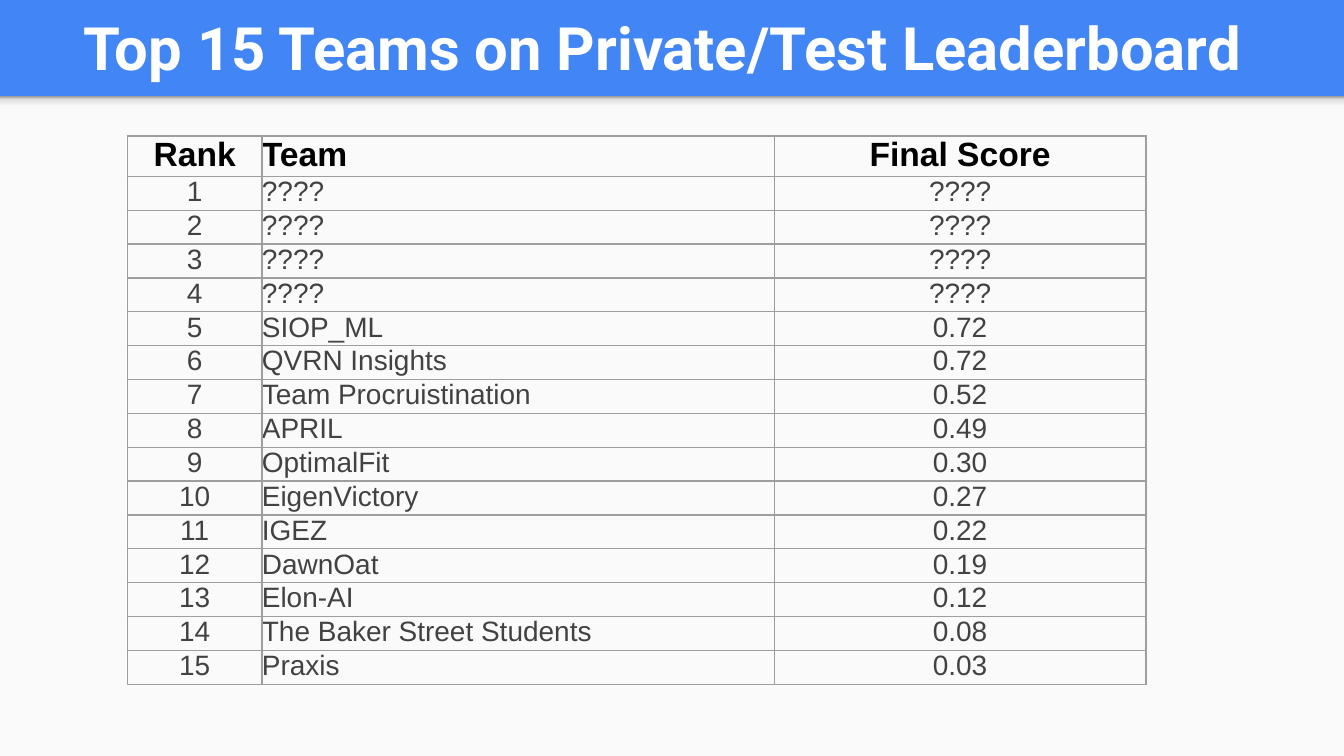
from lxml import etree
from pptx import Presentation
from pptx.dml.color import RGBColor
from pptx.enum import shapes, text
from pptx.oxml import parse_xml
from pptx.oxml.ns import nsdecls, qn
from pptx.util import Cm, Pt

HEAD = ("Rank", "Team", "Final Score")
TEAMS = [("????", "????")] * 4 + [
    ("SIOP_ML", "0.72"),
    ("QVRN Insights", "0.72"),
    ("Team Procruistination", "0.52"),
    ("APRIL", "0.49"),
    ("OptimalFit", "0.30"),
    ("EigenVictory", "0.27"),
    ("IGEZ", "0.22"),
    ("DawnOat", "0.19"),
    ("Elon-AI", "0.12"),
    ("The Baker Street Students", "0.08"),
    ("Praxis", "0.03"),
]
WIDTHS = (2.54, 9.68, 7.03)
WIDE, HIGH, BAR = 25.4, 14.29, 1.82
SHADE = ((0, "999999"), (20, "DEDEDE"), (64, "F9F9F9"), (100, "F9F9F9"))


def color(code):
    return RGBColor.from_string(code)


def style(para, face, size, code, bold, align):
    para.alignment = align
    font = para.font
    font.name, font.size, font.bold = face, Pt(size), bold
    font.color.rgb = color(code)


def add_rect(slide, top, high, fill):
    rect = slide.shapes.add_shape(
        shapes.MSO_SHAPE.RECTANGLE, 0, Cm(top), Cm(WIDE), Cm(high))
    rect.shadow.inherit = False
    rect.line.fill.background()
    rect.fill.solid()
    rect.fill.fore_color.rgb = color(fill)
    return rect


def add_shade(slide, top, high):
    """Add a strip that fades downward from dark to light."""
    strip = add_rect(slide, top, high, "F9F9F9")
    stops = "".join(
        f'<a:gs pos="{pos * 1000}"><a:srgbClr val="{code}"/></a:gs>'
        for pos, code in SHADE)
    grad = parse_xml(
        f'<a:gradFill {nsdecls("a")}><a:gsLst>{stops}</a:gsLst>'
        '<a:lin ang="5400000" scaled="0"/></a:gradFill>')
    props = strip.element.spPr
    props.replace(props.find(qn("a:solidFill")), grad)


def add_title(slide, words):
    box = slide.shapes.add_textbox(Cm(0.28), Cm(0.05), Cm(24.51), Cm(1.68))
    frame = box.text_frame
    frame.word_wrap = True
    frame.vertical_anchor = text.MSO_ANCHOR.MIDDLE
    frame.margin_left = frame.margin_right = Cm(0.25)
    frame.margin_top = frame.margin_bottom = Cm(0.25)
    para = frame.paragraphs[0]
    para.text = words
    style(para, "Roboto", 32, "FFFFFF", True, text.PP_ALIGN.CENTER)


def add_edges(cell, code, width):
    props = cell._tc.get_or_add_tcPr()
    for side in "LRTB":
        line = etree.SubElement(props, qn(f"a:ln{side}"), w=str(Pt(width)))
        fill = etree.SubElement(line, qn("a:solidFill"))
        etree.SubElement(fill, qn("a:srgbClr"), val=code)


def fill_cell(cell, words, head, align):
    add_edges(cell, "9E9E9E", 0.75)
    cell.fill.background()
    cell.margin_left = cell.margin_right = 0
    cell.margin_top = cell.margin_bottom = 0
    para = cell.text_frame.paragraphs[0]
    para.text = words
    size, code = (18, "000000") if head else (15, "424242")
    style(para, "Arial", size, code, head, align)


def add_board(slide, rows):
    high = 0.71 + 0.64 * (len(rows) - 1)
    table = slide.shapes.add_table(
        len(rows), len(WIDTHS), Cm(2.41), Cm(2.57),
        Cm(sum(WIDTHS)), Cm(high)).table
    table.first_row = table.horz_banding = False
    for col, width in zip(table.columns, WIDTHS):
        col.width = Cm(width)
    for r, row in enumerate(rows):
        table.rows[r].height = Cm(0.64 if r else 0.71)
        for c, words in enumerate(row):
            align = text.PP_ALIGN.LEFT if c == 1 else text.PP_ALIGN.CENTER
            fill_cell(table.cell(r, c), words, r == 0, align)


def main():
    deck = Presentation()
    deck.slide_width, deck.slide_height = Cm(WIDE), Cm(HIGH)
    slide = deck.slides.add_slide(deck.slide_layouts[6])

    # Blue background with a light panel and its top shade
    back = slide.background.fill
    back.solid()
    back.fore_color.rgb = color("4285F4")
    add_rect(slide, BAR, HIGH - BAR, "FAFAFA")
    add_shade(slide, BAR, 0.3)

    # Title and ranking
    add_title(slide, "Top 15 Teams on Private/Test Leaderboard")
    ranks = [(str(n), *team) for n, team in enumerate(TEAMS, 1)]
    add_board(slide, [HEAD, *ranks])

    deck.save("out.pptx")


if __name__ == "__main__":
    main()
